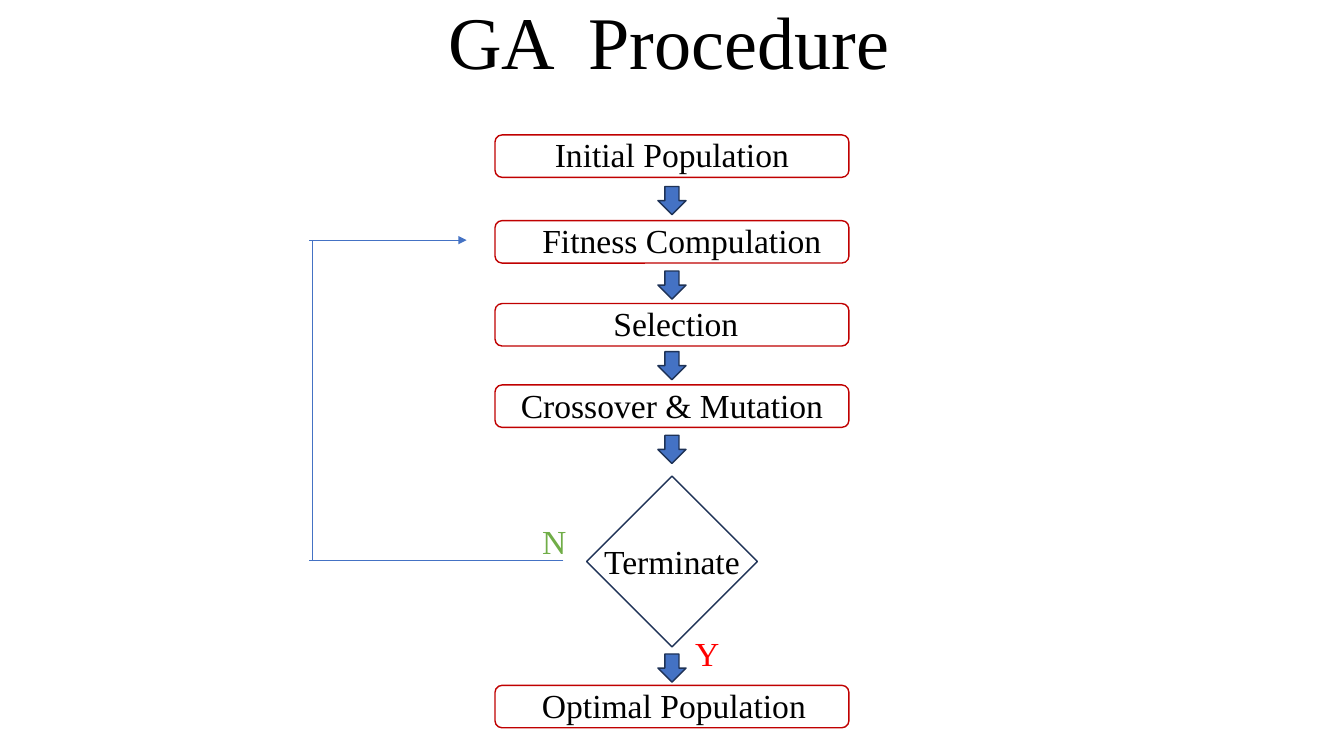
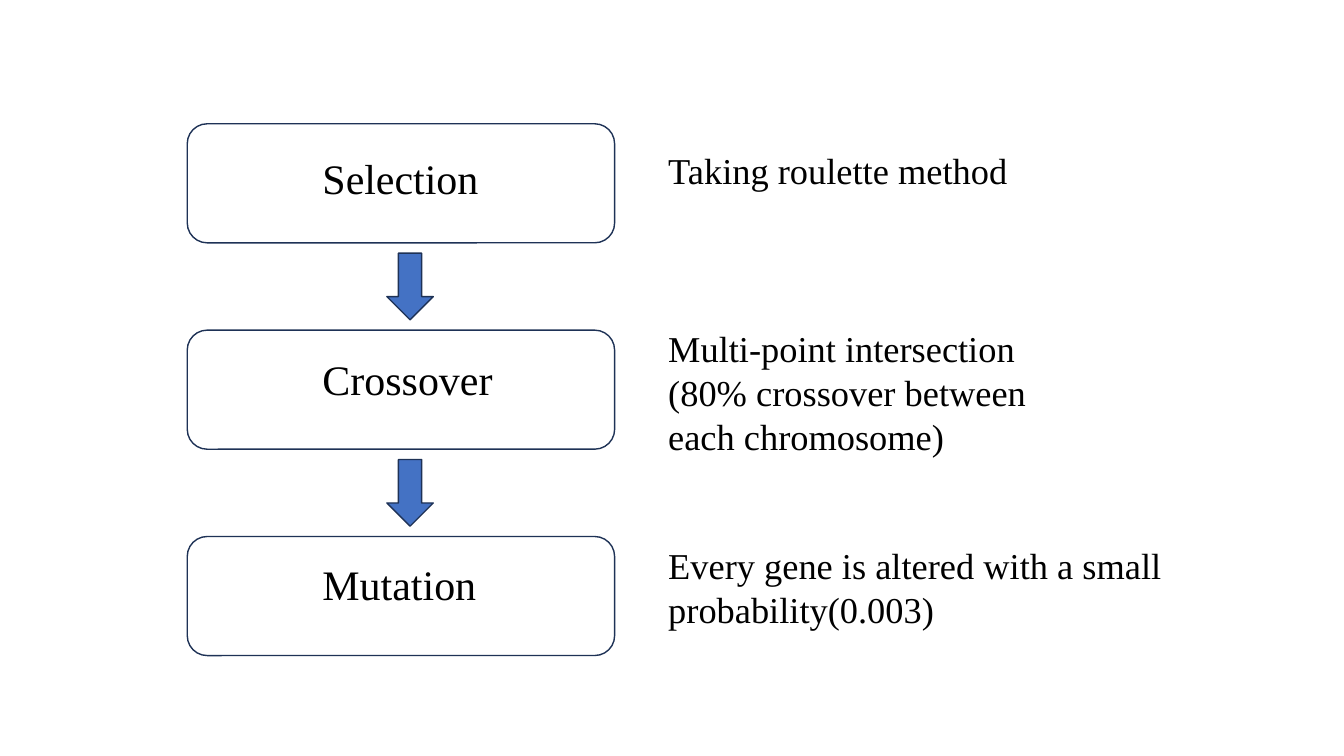
import pptx
import pptx.util
import pptx.dml.color
import pptx.enum.shapes
import pptx.enum.text
import pptx.oxml
import pptx.oxml.ns
from lxml import etree

Cm, Pt = pptx.util.Cm, pptx.util.Pt
SHAPE = pptx.enum.shapes.MSO_SHAPE
ALIGN = pptx.enum.text.PP_ALIGN
ANCHOR = pptx.enum.text.MSO_ANCHOR

FONT = "Times New Roman"
COLOURS = {"text": "000000", "step": "C00000", "outline": "1E3256",
           "accent": "4472C4", "no": "70AD47", "yes": "FF0000"}
PAGE_WIDTH, PAGE_HEIGHT = 33.87, 19.05
CENTRE = PAGE_WIDTH / 2

# Procedure: text, top, left inset
STEPS = [("Initial Population", 3.4, 0), ("Fitness Compulation", 5.56, 0.5),
         ("Selection", 7.65, 0.2), ("Crossover & Mutation", 9.7, 0),
         ("Optimal Population", 17.27, 0.1)]
STEP_SIZE = (8.92, 1.07)
STEP_ARROW = 0.71
STEP_ARROW_TOPS = [4.7, 6.83, 8.86, 10.97, 16.48]
DECISION = ("Terminate", 12, 4.3)
BRANCHES = [("N", 13.41, 13, "no"), ("Y", 17.27, 15.82, "yes")]
LOOP_X, LOOP_TOP, LOOP_BOTTOM, LOOP_OVERHANG = 7.87, 6.05, 14.12, 0.08
LOOP_START, LOOP_END = 14.2, 11.76

# Operators: name, bottom inset, note, note top, note size
OPERATORS = [
    ("Selection", 0.28, "Taking roulette method", 3.61, (10.08, 1.37)),
    ("Crossover", 0.53, "Multi-point intersection (80% crossover between each chromosome)",
     8.1, (10.08, 3.58)),
    ("Mutation", 0.64, "Every gene is altered with a small probability(0.003)",
     13.56, (13.16, 2.49)),
]
OPERATOR_LEFT, OPERATOR_TOP, OPERATOR_PITCH = 4.72, 3.12, 5.2
OPERATOR_SIZE = (10.77, 3)
OPERATOR_ARROW = (9.75, 1.17, 1.68)
NOTE_LEFT = 16.59


def rgb(name):
    return pptx.dml.color.RGBColor.from_string(COLOURS[name])


def write(box, text, size=24, colour="text", align=ALIGN.LEFT, anchor=ANCHOR.TOP,
          insets=(0.25, 0.13, 0.25, 0.13), wrap=True, spacing=None):
    """Fill a box with one paragraph; insets are left, top, right, bottom."""
    frame = box.text_frame
    frame.word_wrap = wrap
    frame.vertical_anchor = anchor
    (frame.margin_left, frame.margin_top,
     frame.margin_right, frame.margin_bottom) = map(Cm, insets)
    para = frame.paragraphs[0]
    para.alignment = align
    para.line_spacing = spacing
    span = para.add_run()
    span.text = text
    span.font.name = FONT
    span.font.size = Pt(size)
    span.font.color.rgb = rgb(colour)


def add_label(page, text, left, top, width, height, **style):
    box = page.shapes.add_textbox(Cm(left), Cm(top), Cm(width), Cm(height))
    write(box, text, **style)


def add_figure(page, kind, left, top, width, height, line="outline", fill=None):
    figure = page.shapes.add_shape(kind, Cm(left), Cm(top), Cm(width), Cm(height))
    figure.shadow.inherit = False
    figure.line.color.rgb = rgb(line)
    figure.line.width = Pt(1)
    if fill:
        figure.fill.solid()
        figure.fill.fore_color.rgb = rgb(fill)
    else:
        figure.fill.background()
    return figure


def add_down_arrow(page, left, top, width, height):
    add_figure(page, SHAPE.DOWN_ARROW, left, top, width, height, fill="accent")


def add_line(page, start, end, arrow=False):
    line = page.shapes.add_connector(pptx.enum.shapes.MSO_CONNECTOR.STRAIGHT,
                                     *map(Cm, start + end))
    line.line.color.rgb = rgb("accent")
    line.line.width = Pt(0.5)
    if arrow:
        etree.SubElement(line.line._get_or_add_ln(),
                         pptx.oxml.ns.qn("a:tailEnd"), type="triangle")
    etree.SubElement(line._element.spPr, pptx.oxml.ns.qn("a:effectLst"))


def build_procedure(page):
    add_label(page, "GA  Procedure", 11.05, 0, 25.4, 3.18, size=53, spacing=0.9)
    width, height = STEP_SIZE
    for text, top, inset in STEPS:
        step = add_figure(page, SHAPE.ROUNDED_RECTANGLE, CENTRE - width / 2, top,
                          width, height, line="step")
        write(step, text, align=ALIGN.CENTER, anchor=ANCHOR.MIDDLE,
              insets=(inset, 0, 0, 0.08), wrap=False)
    text, top, side = DECISION
    decision = add_figure(page, SHAPE.DIAMOND, CENTRE - side / 2, top, side, side)
    write(decision, text, align=ALIGN.CENTER, anchor=ANCHOR.MIDDLE,
          insets=(0, 0, 0, 0), wrap=False)
    for top in STEP_ARROW_TOPS:
        add_down_arrow(page, CENTRE - STEP_ARROW / 2, top, STEP_ARROW, STEP_ARROW)
    outer = LOOP_X - LOOP_OVERHANG
    add_line(page, (LOOP_START, LOOP_BOTTOM), (outer, LOOP_BOTTOM))
    add_line(page, (LOOP_X, LOOP_BOTTOM), (LOOP_X, LOOP_TOP))
    add_line(page, (outer, LOOP_TOP), (LOOP_END, LOOP_TOP), arrow=True)
    for text, left, top, colour in BRANCHES:
        add_label(page, text, left, top, 1.5, 1.27, colour=colour)


def build_operators(page):
    width, height = OPERATOR_SIZE
    arrow_left, arrow_width, arrow_height = OPERATOR_ARROW
    arrow_gap = (OPERATOR_PITCH - height - arrow_height) / 2
    for row, (name, lift, note, note_top, note_size) in enumerate(OPERATORS):
        top = OPERATOR_TOP + row * OPERATOR_PITCH
        box = add_figure(page, SHAPE.ROUNDED_RECTANGLE, OPERATOR_LEFT, top, width, height)
        write(box, name, size=30, anchor=ANCHOR.MIDDLE, insets=(3.26, 0, 0, lift))
        add_label(page, note, NOTE_LEFT, note_top, *note_size, size=26)
        if row < len(OPERATORS) - 1:
            add_down_arrow(page, arrow_left, top + height + arrow_gap,
                           arrow_width, arrow_height)


def main():
    deck = pptx.Presentation()
    deck.slide_width, deck.slide_height = Cm(PAGE_WIDTH), Cm(PAGE_HEIGHT)
    for build in (build_procedure, build_operators):
        build(deck.slides.add_slide(deck.slide_layouts[6]))
    deck.save("out.pptx")


if __name__ == "__main__":
    main()
